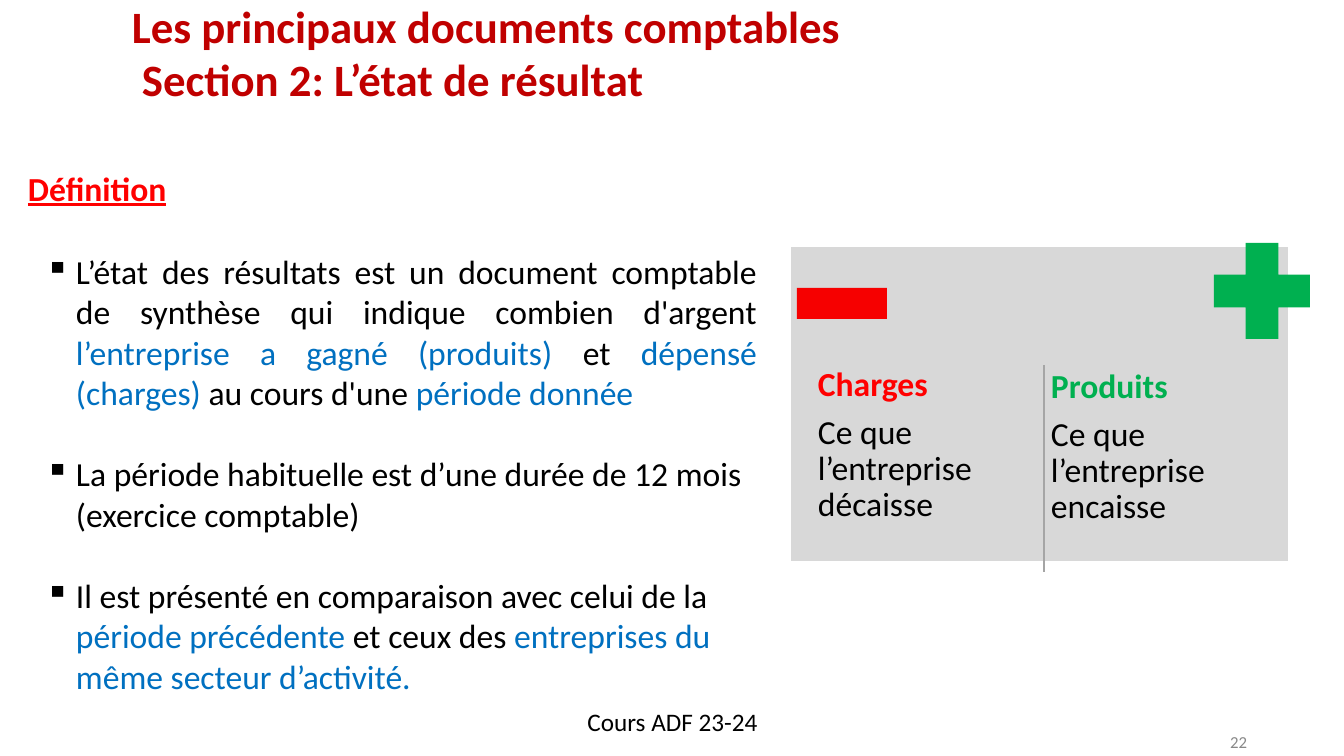
"""Build the slide on the income statement: definition, charges and income."""
import lxml.etree
import pptx
import pptx.dml.color
import pptx.enum.shapes
import pptx.enum.text
import pptx.oxml.ns
import pptx.util

PX = 914400 / 100.8
BLACK, RED, GREEN, BLUE = "000000", "FF0000", "00B050", "0070C0"
SHAPE = pptx.enum.shapes.MSO_SHAPE
ALIGN = pptx.enum.text.PP_ALIGN
ANCHOR = pptx.enum.text.MSO_ANCHOR
POINT = pptx.util.Pt


def emu(*lengths):
    """Turn lengths in px into EMU."""
    return [pptx.util.Emu(round(length * PX)) for length in lengths]


def colour(value):
    """Turn a hex string into a colour."""
    return pptx.dml.color.RGBColor.from_string(value)


def set_values(target, values):
    """Set each named attribute of the target."""
    for name, value in values.items():
        setattr(target, name, value)


def set_indent(para, left, first=0):
    """Set the left margin and first-line indent of a paragraph."""
    margin, indent = emu(left, first)
    properties = para._p.get_or_add_pPr()
    properties.set("marL", str(margin))
    properties.set("indent", str(indent))


def add_bullet(para):
    """Give a paragraph a black square bullet with a hanging indent."""
    set_indent(para, 31, -31)
    properties = para._p.get_or_add_pPr()
    tag = pptx.oxml.ns.qn
    bullet_colour = lxml.etree.SubElement(properties, tag("a:buClr"))
    lxml.etree.SubElement(bullet_colour, tag("a:srgbClr"), val=BLACK)
    lxml.etree.SubElement(properties, tag("a:buChar"), char="▪")


def add_text_box(page, bounds, inset=5, anchor=ANCHOR.TOP):
    """Add an empty wrapping text box and return its frame."""
    frame = page.shapes.add_textbox(*emu(*bounds)).text_frame
    side, edge = emu(inset, 5)
    set_values(frame, {
        "word_wrap": True, "vertical_anchor": anchor,
        "margin_left": side, "margin_right": side,
        "margin_top": edge, "margin_bottom": edge,
    })
    return frame


def add_para(frame, spans, size=24, bullet=False, left=0, layout=None, **style):
    """Fill the next paragraph with spans of text and colour."""
    first = frame.paragraphs[0]
    para = frame.add_paragraph() if first.runs else first
    if bullet:
        add_bullet(para)
    elif left:
        set_indent(para, left)
    set_values(para, layout or {})
    for text, shade in spans:
        span = para.add_run()
        span.text = text
        set_values(span.font, {"name": "Calibri", "size": POINT(size), **style})
        span.font.color.rgb = colour(shade)


def add_block(page, kind, bounds, fill, border=None):
    """Add a flat filled shape, with a border when a colour is given."""
    block = page.shapes.add_shape(kind, *emu(*bounds))
    block.shadow.inherit = False
    block.fill.solid()
    block.fill.fore_color.rgb = colour(fill)
    if border:
        block.line.color.rgb = colour(border)
        block.line.width = POINT(2)
    else:
        block.line.fill.background()
    return block


def add_divider(page, x, top, bottom):
    """Add the vertical grey line between the two columns."""
    straight = pptx.enum.shapes.MSO_CONNECTOR.STRAIGHT
    divider = page.shapes.add_connector(straight, *emu(x, top, x, bottom))
    divider.line.color.rgb = colour("A5A5A5")
    divider.line.width = POINT(2)
    lxml.etree.SubElement(divider._element.spPr, pptx.oxml.ns.qn("a:effectLst"))


def add_column(page, bounds, heading, shade, detail):
    """Add a coloured heading with its explanation."""
    frame = add_text_box(page, bounds)
    layout = {"line_spacing": 0.9, "space_after": POINT(8.4)}
    add_para(frame, [(heading, shade)], layout=layout, bold=True)
    add_para(frame, [(detail, BLACK)], layout=layout)


def add_title(page):
    """Add the two-line title."""
    frame = add_text_box(page, (122, 0, 975, 164), inset=10)
    add_para(frame, [("Les principaux documents comptables", "C00000")], 32,
             layout={"line_spacing": 0.9}, bold=True)
    add_para(frame, [("Section 2: L’état de résultat", "C00000")], 32, left=10,
             layout={"line_spacing": 0.9, "space_before": POINT(3)}, bold=True)


def add_definition(page):
    """Add the definition heading and its bullets."""
    heading = add_text_box(page, (11, 167, 963, 60))
    add_para(heading, [("Définition", RED)], left=12,
             layout={"line_spacing": 0.9}, bold=True, underline=True)
    bullets = [
        [("L’état des résultats est un document comptable de synthèse "
          "qui indique combien d'argent ", BLACK),
         ("l’entreprise a gagné (produits)", BLUE), (" et ", BLACK),
         ("dépensé (charges) ", BLUE), ("au cours d'une ", BLACK),
         ("période donnée", BLUE)],
        [("La période habituelle est d’une durée de 12 mois "
          "(exercice comptable)", BLACK)],
        [("Il est présenté en comparaison avec celui de la ", BLACK),
         ("période précédente ", BLUE), ("et ceux des", BLACK),
         (" entreprises du même secteur d’activité.", BLUE)],
    ]
    frame = add_text_box(page, (35, 246, 732, 499), inset=10)
    layout = {"alignment": ALIGN.JUSTIFY}
    for spans in bullets:
        add_para(frame, spans, bullet=True, layout=layout)
        layout = {"alignment": ALIGN.LEFT, "space_before": POINT(29.3)}


def add_comparison(page):
    """Add the grey panel that sets charges against income."""
    add_block(page, SHAPE.RECTANGLE, (790, 246, 499, 316), "D8D8D8", "FFFFFF")
    add_column(page, (813, 362, 227, 221), "Charges", RED,
               "Ce que l’entreprise décaisse")
    add_column(page, (1046, 364, 227, 217), "Produits", GREEN,
               "Ce que l’entreprise encaisse")
    plus = add_block(page, SHAPE.CROSS, (1214, 243, 96, 96), GREEN)
    plus.adjustments[0] = 0.33
    add_block(page, SHAPE.RECTANGLE, (797, 288, 90, 31), "F60000")
    add_divider(page, 1044, 365, 572)


def add_footer(page):
    """Add the course name and the page number."""
    course = add_text_box(page, (460, 701, 425, 40), inset=10)
    add_para(course, [("Cours ADF 23-24", BLACK)], 18,
             layout={"alignment": ALIGN.CENTER})
    number = add_text_box(page, (1223, 727, 29, 30), anchor=ANCHOR.MIDDLE)
    add_para(number, [("22", "888888")], 12, layout={"alignment": ALIGN.RIGHT})


def main():
    """Build and save the slide."""
    deck = pptx.Presentation()
    deck.slide_width, deck.slide_height = emu(1344, 756)
    page = deck.slides.add_slide(deck.slide_layouts[6])
    add_title(page)
    add_definition(page)
    add_comparison(page)
    add_footer(page)
    deck.save("out.pptx")


if __name__ == "__main__":
    main()
